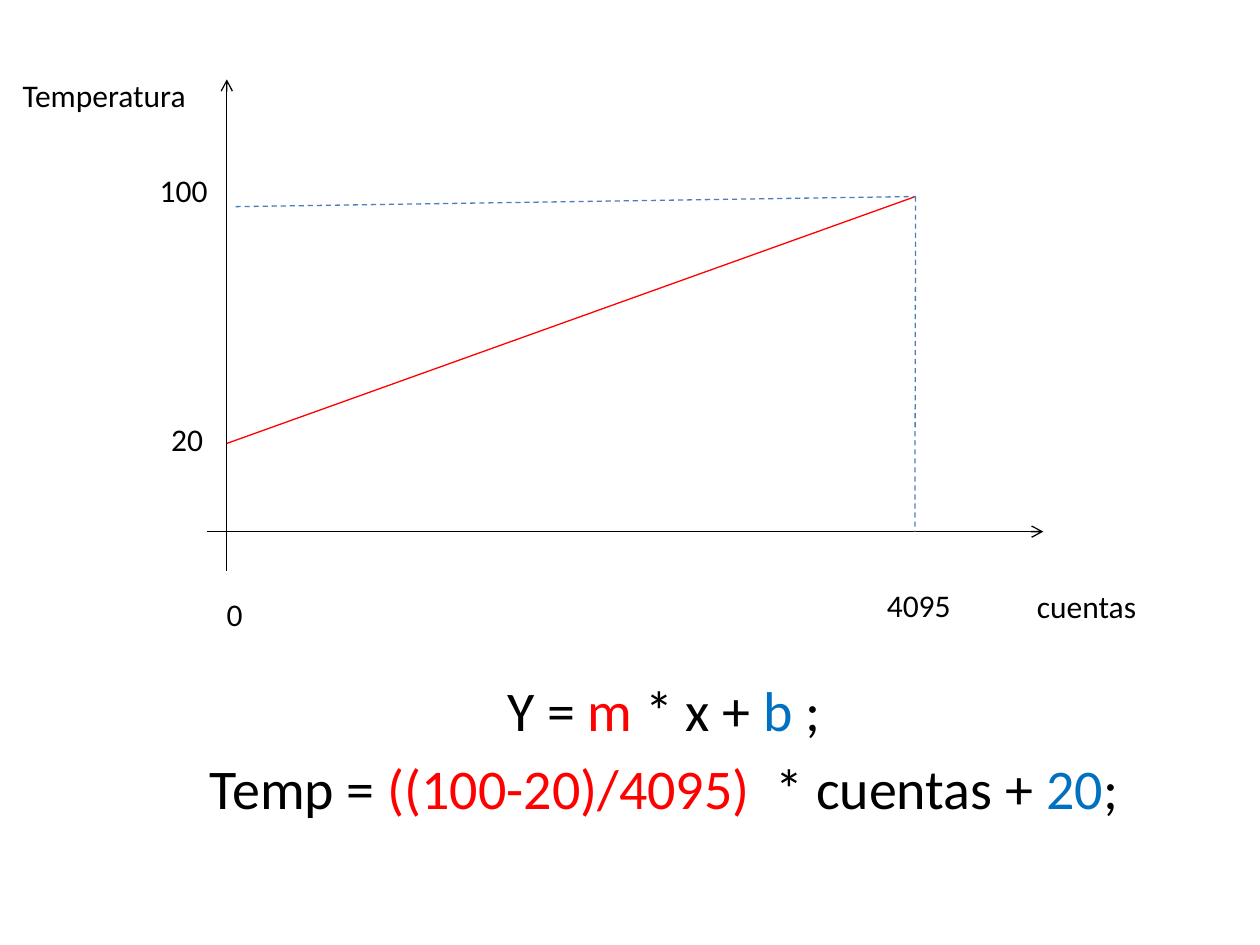
import lxml.etree
import pptx
import pptx.util
import pptx.dml.color
import pptx.enum.dml
import pptx.enum.shapes
import pptx.enum.text
import pptx.oxml.ns

Pt = pptx.util.Pt
RGB = pptx.dml.color.RGBColor
DASH = pptx.enum.dml.MSO_LINE.DASH
BLACK = RGB(0, 0, 0)
RED = RGB(255, 0, 0)
BLUE = RGB(0, 0x70, 0xC0)
STEEL = RGB(0x4B, 0x7E, 0xBC)


def add_line(slide, start, end, color, dash=None, arrow=False):
    line = slide.shapes.add_connector(
        pptx.enum.shapes.MSO_CONNECTOR.STRAIGHT,
        *[Pt(v) for v in (*start, *end)])
    line.line.color.rgb = color
    line.line.width = Pt(0.75)
    if dash:
        line.line.dash_style = dash
    qn = pptx.oxml.ns.qn
    props = line._element.spPr
    if arrow:
        stroke = props.find(qn("a:ln"))
        lxml.etree.SubElement(stroke, qn("a:tailEnd"), type="arrow")
    lxml.etree.SubElement(props, qn("a:effectLst"))


def add_box(slide, left, top, width, height):
    return slide.shapes.add_textbox(
        Pt(left), Pt(top), Pt(width), Pt(height)).text_frame


def set_font(para, size):
    para.font.name = "Calibri"
    para.font.size = Pt(size)
    para.font.color.rgb = BLACK


def add_label(slide, text, left, top, width):
    frame = add_box(slide, left, top, width, 29)
    frame.word_wrap = False
    frame.auto_size = pptx.enum.text.MSO_AUTO_SIZE.SHAPE_TO_FIT_TEXT
    para = frame.paragraphs[0]
    para.text = text
    set_font(para, 18)


def add_rules(slide, rules):
    frame = add_box(slide, 112.3, 382.3, 534.2, 138.2)
    frame.word_wrap = True
    for i, parts in enumerate(rules):
        para = frame.add_paragraph() if i else frame.paragraphs[0]
        para.alignment = pptx.enum.text.PP_ALIGN.CENTER
        para.space_before = Pt(6.4)
        set_font(para, 32)
        for text, color in parts:
            run = para.add_run()
            run.text = text
            run.font.color.rgb = color


def main():
    deck = pptx.Presentation()
    deck.slide_width, deck.slide_height = Pt(720), Pt(540)
    slide = deck.slides.add_slide(deck.slide_layouts[6])

    zero, base = 129.6, 303.8
    peak = (523.2, 112.3)
    add_line(slide, (zero, 326.2), (zero, 45.4), BLACK, arrow=True)
    add_line(slide, (118.1, base), (596.2, base), BLACK, arrow=True)
    add_line(slide, (zero, 253.4), peak, RED)
    add_line(slide, (134.6, 118.1), peak, STEEL, DASH)
    add_line(slide, peak, (522.8, base), STEEL, DASH)

    for label in (
        ("cuentas", 585.4, 331.9, 72),
        ("Temperatura", 5.8, 39.6, 108.7),
        ("20", 90.7, 236.2, 33.1),
        ("100", 84.2, 94.3, 42.5),
        ("0", 122.4, 336.2, 23.8),
        ("4095", 499.7, 331.2, 51.1),
    ):
        add_label(slide, *label)

    add_rules(slide, (
        (("Y = ", BLACK), ("m", RED), (" * x + ", BLACK),
         ("b ", BLUE), (";", BLACK)),
        (("Temp = ", BLACK), ("((100-20)/4095)  ", RED),
         ("* cuentas + ", BLACK), ("20", BLUE), (";", BLACK)),
    ))
    deck.save("out.pptx")


main()
